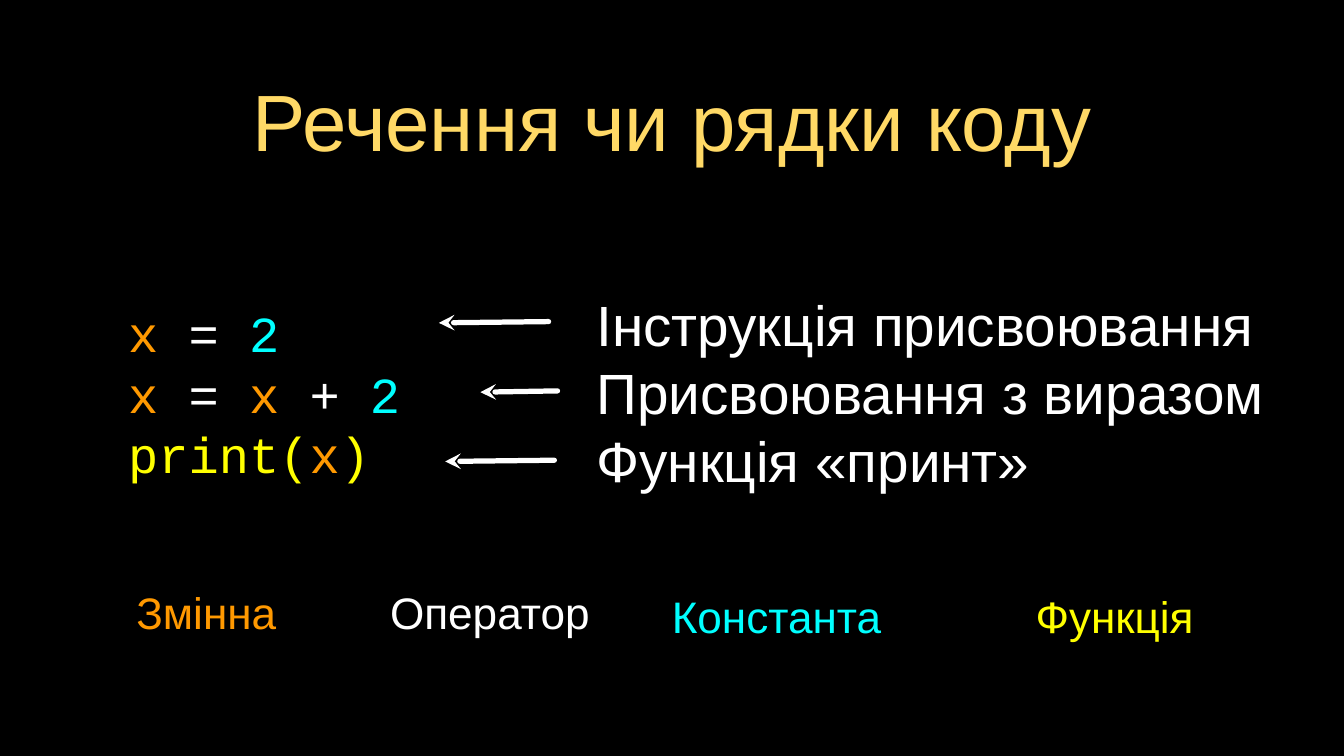
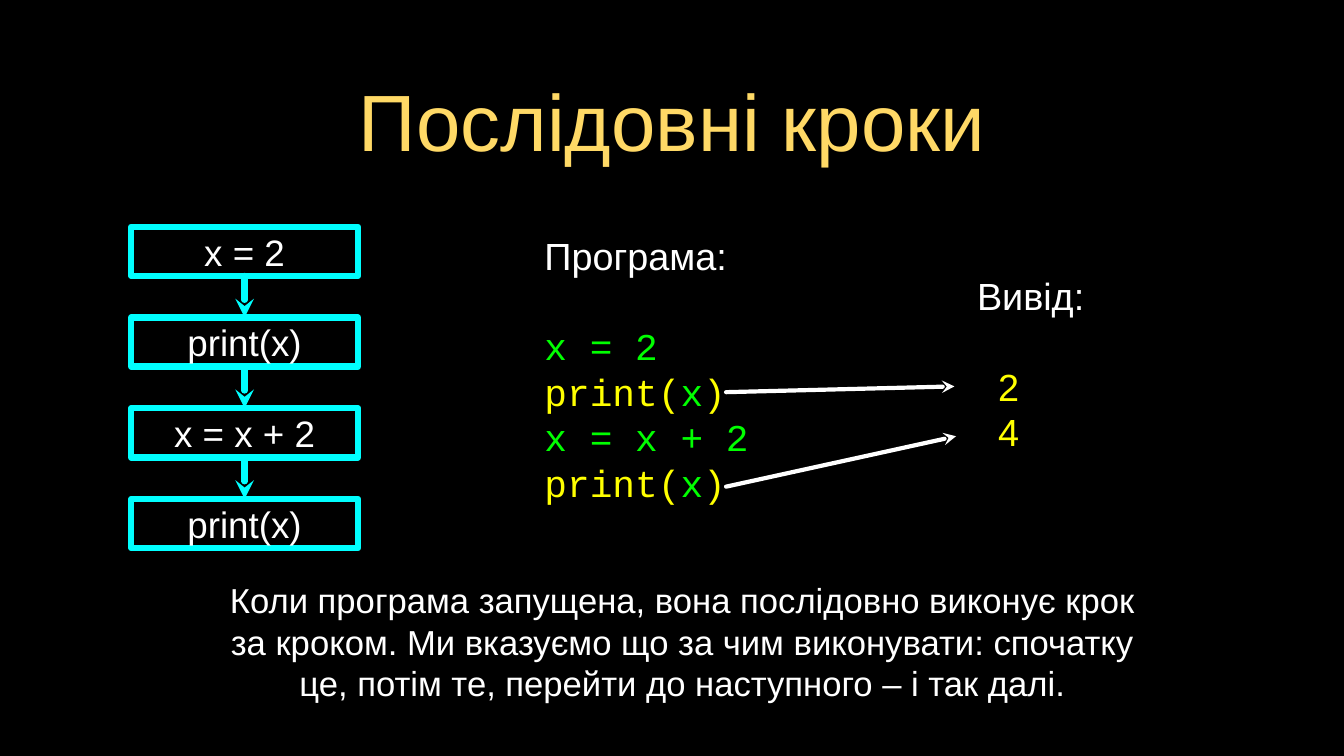
from dataclasses import dataclass

from lxml import etree
from pptx import Presentation
from pptx.dml.color import RGBColor
from pptx.enum import shapes, text
from pptx.oxml.ns import qn
from pptx.util import Pt


@dataclass(frozen=True)
class Theme:
    back: str = "000000"
    gold: str = "FFD966"
    white: str = "FFFFFF"
    orange: str = "FF9900"
    cyan: str = "00FFFF"
    yellow: str = "FFFF00"
    green: str = "00FF00"
    sans: str = "Arial"
    mono: str = "Courier New"
    title: int = 76
    label: int = 54
    code: int = 48
    legend: int = 42
    list: int = 36
    step: int = 35
    note: int = 33
    lead: float = 1.2


T = Theme()
WIDE, HIGH = 1280, 720


def rgb(color):
    return RGBColor.from_string(color)


def fill_text(shape, lines, size, font=T.sans, center=False):
    """Write lines, each a list of (words, color) runs, and return the paragraphs."""
    frame = shape.text_frame
    frame.word_wrap = True
    frame.vertical_anchor = text.MSO_ANCHOR.MIDDLE
    frame.margin_left = frame.margin_right = 0
    frame.margin_top = frame.margin_bottom = 0
    for i, runs in enumerate(lines):
        para = frame.add_paragraph() if i else frame.paragraphs[0]
        para.alignment = text.PP_ALIGN.CENTER if center else text.PP_ALIGN.LEFT
        para.line_spacing = Pt(size * T.lead)
        for words, color in runs:
            run = para.add_run()
            run.text = words
            run.font.size, run.font.name = Pt(size), font
            run.font.color.rgb = rgb(color)
    return frame.paragraphs


def add_text(slide, box, lines, size, font=T.sans, center=False):
    shape = slide.shapes.add_textbox(*map(Pt, box))
    return fill_text(shape, lines, size, font, center)


def style_line(shape, color, width):
    shape.line.color.rgb = rgb(color)
    shape.line.width = Pt(width)
    line = shape.line._get_or_add_ln()
    line.set("cap", "rnd")
    etree.SubElement(line, qn("a:round"))
    return line


def add_arrow(slide, tip, end, color, width):
    """Draw a straight line with its arrowhead at tip."""
    link = slide.shapes.add_connector(
        shapes.MSO_CONNECTOR.STRAIGHT, *map(Pt, (*tip, *end)))
    line = style_line(link, color, width)
    etree.SubElement(line, qn("a:headEnd"), type="stealth")
    etree.SubElement(link._element.spPr, qn("a:effectLst"))
    return link


def add_slide(deck, title):
    slide = deck.slides.add_slide(deck.slide_layouts[6])
    slide.background.fill.solid()
    slide.background.fill.fore_color.rgb = rgb(T.back)
    add_text(slide, (64, 60.5, 1152, 107), [[(title, T.gold)]], T.title, center=True)
    return slide


def add_lines(slide, box):
    """Put code at the left, its meaning at the right and arrows between."""
    left, top, width, height = box
    var, two = ("x ", T.orange), ("2", T.cyan)
    code = [
        [var, ("= ", T.white), two],
        [var, ("= ", T.white), var, ("+ ", T.white), two],
        [("print(", T.yellow), ("x", T.orange), (")", T.yellow)],
    ]
    add_text(slide, (left, top + 1.5, 316, height), code, T.code, T.mono)
    names = ["Інструкція присвоювання", "Присвоювання з виразом", "Функція «принт»"]
    add_text(slide, (left + 446, top, width - 446, height),
             [[(name, T.white)] for name in names], T.label)
    for row, (tip, end) in enumerate([(296, 400.5), (335.5, 409), (302, 406)]):
        y = top + 93.5 + row * 66
        add_arrow(slide, (left + tip, y), (left + end, y - 1.2), T.white, 5)


def add_legend(slide, box):
    left, top, _, height = box
    parts = [("Змінна", T.orange, 0, 184, 0), ("Оператор", T.white, 265.5, 193, 0),
             ("Константа", T.cyan, 532, 206, 3.6), ("Функція", T.yellow, 819.5, 275, 3.6)]
    for name, color, x, width, drop in parts:
        add_text(slide, (left + x, top + drop, width, height),
                 [[(name, color)]], T.legend, center=True)


def add_flow(slide, box, steps):
    """Stack the steps down the box and join each to the next."""
    left, top, width, height = box
    deep = 46.8
    pitch = (height - deep) / (len(steps) - 1)
    last = None
    for i, step in enumerate(steps):
        y = top + i * pitch
        node = slide.shapes.add_shape(
            shapes.MSO_SHAPE.RECTANGLE, *map(Pt, (left, y, width, deep)))
        node.shadow.inherit = False
        node.fill.background()
        style_line(node, T.cyan, 6)
        fill_text(node, [[(step, T.white)]], T.step, center=True)
        if last is not None:
            mid = left + width / 2
            link = add_arrow(slide, (mid, y), (mid, y - pitch + deep), T.cyan, 6)
            link.begin_connect(node, 0)
            link.end_connect(last, 2)
        last = node


def add_list(slide, box, head, rows, font=T.sans, inset=0):
    """Put a heading, one line of space, then rows set in by inset."""
    paras = add_text(slide, box, [[(head, T.white)]] + rows, T.list)
    paras[1].space_before = Pt(T.list * T.lead)
    for para in paras[1:]:
        para._p.get_or_add_pPr().set("marL", str(Pt(inset)))
        for run in para.runs:
            run.font.name = font


def add_run(slide, box):
    """Show the program, its output and the arrows between them."""
    left, top, _, height = box
    show = [("print(", T.yellow), ("x", T.green), (")", T.yellow)]
    rows = [[("x = 2", T.green)], show, [("x = x + 2", T.green)], show]
    add_list(slide, (left, top, 255.5, height), "Програма:", rows, T.mono)
    add_list(slide, (left + 412, top + 39.5, 137, 168), "Вивід:",
             [[("2", T.yellow)], [("4", T.yellow)]], inset=20)
    for tip, end in [((390.5, 145.5), (173, 151)), ((392, 193), (173, 241))]:
        add_arrow(slide, (left + tip[0], top + tip[1]),
                  (left + end[0], top + end[1]), T.white, 4)


def add_note(slide, box):
    lines = ["Коли програма запущена, вона послідовно виконує крок",
             "за кроком. Ми вказуємо що за чим виконувати: спочатку",
             "це, потім те, перейти до наступного – і так далі."]
    add_text(slide, box, [[(line, T.white)] for line in lines], T.note, center=True)


def main():
    deck = Presentation()
    deck.slide_width, deck.slide_height = Pt(WIDE), Pt(HIGH)

    slide = add_slide(deck, "Речення чи рядки коду")
    add_lines(slide, (122, 214, 1145, 318))
    add_legend(slide, (104.5, 554.5, 1094.5, 57))

    slide = add_slide(deck, "Послідовні кроки")
    add_flow(slide, (125, 216, 216, 306), ["x = 2", "print(x)", "x = x + 2", "print(x)"])
    add_run(slide, (518.5, 222.5, 549, 257))
    add_note(slide, (162, 569, 976, 84))
    deck.save("out.pptx")


if __name__ == "__main__":
    main()
